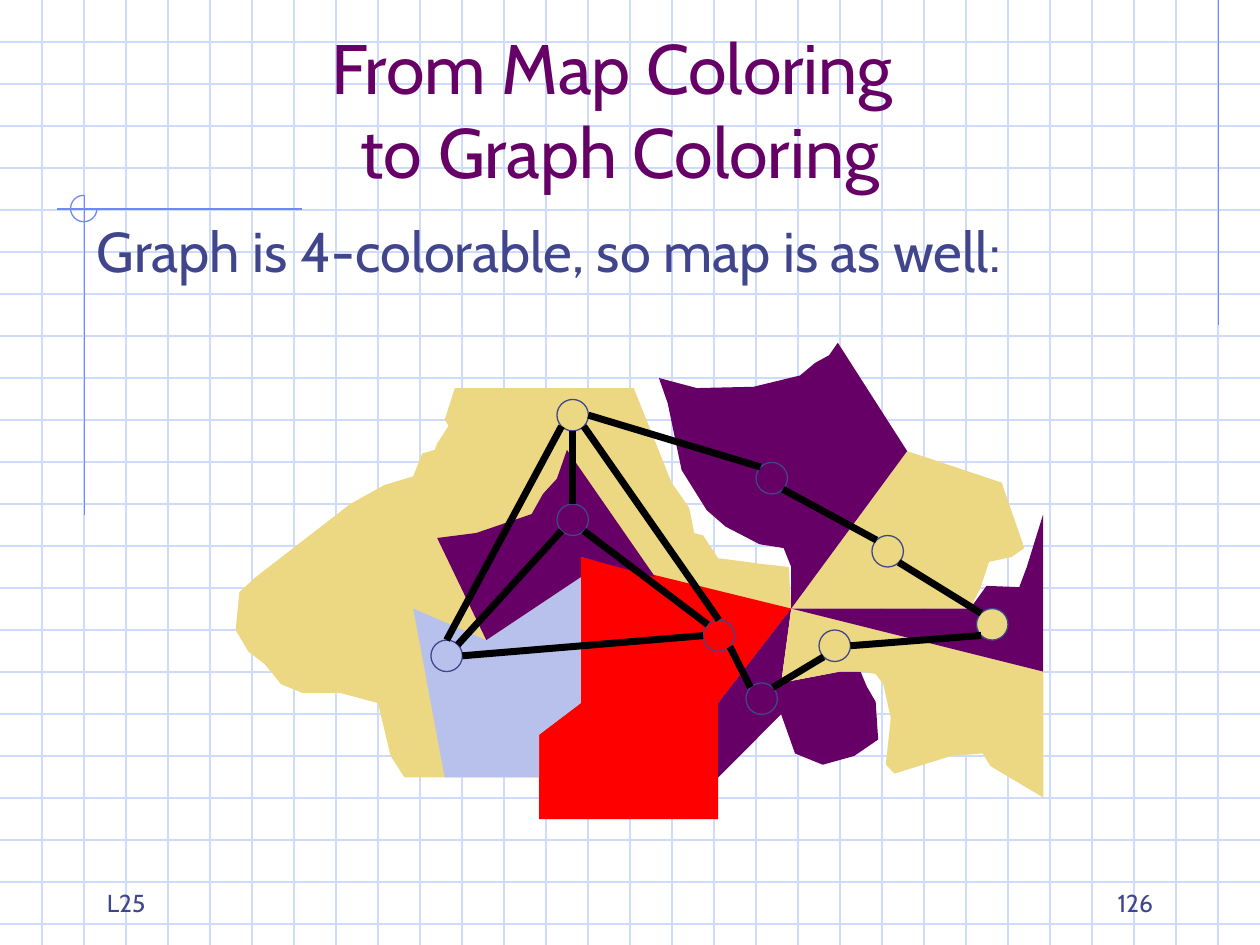
import pptx
import pptx.util
from pptx.dml.color import RGBColor
from pptx.enum.shapes import MSO_CONNECTOR, MSO_SHAPE
from pptx.enum.text import MSO_ANCHOR, MSO_AUTO_SIZE, PP_ALIGN
from pptx.oxml import parse_xml
from pptx.oxml.ns import nsdecls

PX = 9144  # EMU in one px, 100 px to the inch
WIDTH, HEIGHT = 1000, 750
FONT = "Cabin"
GRID = RGBColor(0xCF, 0xDB, 0xFD)
RULE = RGBColor(0x6F, 0x89, 0xF7)
PURPLE = RGBColor(0x66, 0x00, 0x66)
INK = RGBColor(0x40, 0x45, 0x8C)
SAND = RGBColor(0xEC, 0xD8, 0x82)
RED = RGBColor(0xFF, 0x00, 0x00)
LILAC = RGBColor(0xB7, 0xC1, 0xEB)
BLACK = RGBColor(0x00, 0x00, 0x00)

TITLE = "From Map Coloring \vto Graph Coloring"
STATEMENT = "Graph is 4-colorable, so map is as well:"
LECTURE, PAGE = "L25", "126"

# Rules in the margins: x1, y1, x2, y2
MARGIN_RULES = [(967, 0, 967, 258), (240, 166, 45, 166), (67, 155, 67, 409)]

# Points where borders meet
HUB, FORK, PEAK = (628, 483), (570, 558), (720, 358)
SHORE, EAST_END = (770, 483), (828, 533)
RED_FOOT = [(570, 650), (428, 650)]
STEP = [(428, 583), (461, 558)]
CROWN_FOOT, CROWN_SIDE, CROWN_TIP = (386, 508), (461, 458), (461, 442)
BAY = [(683, 533), (667, 533), (620, 542), HUB]

# Countries from back to front: colour and outline
COUNTRIES = [
    (SAND, [
        (503, 308), (361, 308), (353, 333), (356, 338), (347, 352), (345, 357), (335, 360),
        (328, 378), (305, 385), (278, 400), (203, 458), (190, 470), (187, 500), (197, 517),
        (210, 527), (223, 543), (240, 550), (270, 550), (300, 558), (310, 600), (321, 617),
        (428, 617), *RED_FOOT[::-1], FORK, HUB, (626, 450), (608, 448), (570, 443),
        (558, 425), (551, 423), (547, 403), (533, 383)]),
    (RED, [*RED_FOOT, *STEP, CROWN_TIP, HUB, FORK]),
    (LILAC, [(353, 617), (328, 483), CROWN_FOOT, CROWN_SIDE, *STEP[::-1], (428, 617)]),
    (PURPLE, [CROWN_FOOT, (347, 427), (378, 423), (422, 408), (431, 392), (442, 380),
              (450, 357), (520, 458), CROWN_TIP, CROWN_SIDE]),
    (PURPLE, [(570, 617), (620, 567), (631, 598), (653, 607), (678, 600), (697, 587),
              (695, 557), (688, 545), *BAY, FORK]),
    (SAND, [EAST_END, (828, 633), (786, 608), (780, 598), (755, 600), (723, 610),
            (710, 614), (703, 607), (707, 570), (701, 543), (695, 535), *BAY]),
    (SAND, [HUB, SHORE, (778, 467), (785, 446), (803, 442), (813, 435), (795, 383), PEAK]),
    (PURPLE, [SHORE, HUB, EAST_END, (828, 408), (815, 450), (809, 466), (783, 465)]),
    (PURPLE, [HUB, (628, 450), (622, 435), (603, 432), (576, 418), (561, 405), (541, 373),
              (530, 320), (523, 300), (553, 308), (598, 307), (635, 298), (647, 288),
              (658, 282), (665, 272), PEAK]),
]

# Graph vertices: left, top, fill (None lets the country show through)
NODE = 25
VERTICES = {
    "north": (442, 317, SAND), "inner": (442, 400, None), "west": (342, 508, None),
    "centre": (558, 492, None), "south": (592, 542, None), "southeast": (650, 500, SAND),
    "east": (775, 483, SAND), "northeast": (692, 425, SAND), "top": (600, 367, None),
}
# Edges: vertex and the side of its circle, at either end
EDGES = [
    ("west", "NE", "inner", "SW"), ("centre", "N", "north", "SE"), ("inner", "N", "north", "S"),
    ("west", "E", "centre", "W"), ("centre", "NW", "inner", "SE"), ("north", "E", "top", "NW"),
    ("west", "N", "north", "SW"), ("south", "NW", "centre", "SE"),
    ("south", "NE", "southeast", "SW"), ("east", "SW", "southeast", "E"),
    ("east", "NW", "northeast", "SE"), ("top", "SE", "northeast", "NW"),
]


def emu(*lengths):
    return [round(length * PX) for length in lengths]


def write(box, text, size, color=INK, align=PP_ALIGN.LEFT, anchor=MSO_ANCHOR.BOTTOM):
    frame = box.text_frame
    frame.word_wrap = True
    frame.auto_size = MSO_AUTO_SIZE.NONE
    frame.vertical_anchor = anchor
    frame.text = text
    frame.paragraphs[0].alignment = align
    for run in frame.paragraphs[0].runs:
        run.font.name, run.font.size = FONT, pptx.util.Pt(size)
        run.font.color.rgb = color


def rule(shapes, ends, color, weight=0.75):
    line = shapes.add_connector(MSO_CONNECTOR.STRAIGHT, *emu(*ends))
    line.line.color.rgb, line.line.width = color, pptx.util.Pt(weight)
    line.element.spPr.append(parse_xml(f"<a:effectLst {nsdecls('a')}/>"))


def circle(shapes, kind, left, top, size, fill, outline):
    ring = shapes.add_shape(kind, *emu(left, top, size, size))
    ring.shadow.inherit = False
    if fill is None:
        ring.fill.background()
    else:
        ring.fill.solid()
        ring.fill.fore_color.rgb = fill
    ring.line.color.rgb, ring.line.width = outline, pptx.util.Pt(0.75)
    return ring


def country(shapes, color, outline):
    builder = shapes.build_freeform(*outline[0], scale=PX)
    builder.add_line_segments(outline[1:], close=True)
    land = builder.convert_to_shape()
    land.shadow.inherit = False
    land.fill.solid()
    land.fill.fore_color.rgb = color
    land.line.fill.background()


def side_point(vertex, side):
    left, top, _ = VERTICES[vertex]
    reach = NODE / 2 * (0.5 ** 0.5 if len(side) == 2 else 1)
    return (left + NODE / 2 + reach * (("E" in side) - ("W" in side)),
            top + NODE / 2 + reach * (("S" in side) - ("N" in side)))


def main():
    deck = pptx.Presentation()
    deck.slide_width, deck.slide_height = emu(WIDTH, HEIGHT)
    slide = deck.slides.add_slide(deck.slide_layouts[5])
    shapes = slide.shapes

    # Squared paper and margin rules
    for n in range(1, 23):
        rule(shapes, (0, n * 100 / 3, WIDTH, n * 100 / 3), GRID)
    for n in range(1, 30):
        rule(shapes, (n * 100 / 3, 0, n * 100 / 3, HEIGHT), GRID)
    for ends in MARGIN_RULES:
        rule(shapes, ends, RULE)
    arc = circle(shapes, MSO_SHAPE.ARC, 56, 155, 21, None, RULE)
    arc.adjustments[0], arc.adjustments[1] = 0, 162  # three quarters of a turn

    # Title, brought in front of the paper
    title = shapes.title
    title.left, title.top, title.width, title.height = emu(67, 33, 850, 125)
    write(title, TITLE, 40, color=PURPLE, align=PP_ALIGN.CENTER)
    title.element.getparent().append(title.element)

    # Map, statement, graph
    for color, outline in COUNTRIES:
        country(shapes, color, outline)
    write(shapes.add_textbox(*emu(67, 167, 850, 450)), STATEMENT, 32, anchor=MSO_ANCHOR.TOP)
    for left, top, fill in VERTICES.values():
        circle(shapes, MSO_SHAPE.OVAL, left, top, NODE, fill, INK)
    for start, start_side, end, end_side in EDGES:
        rule(shapes, side_point(start, start_side) + side_point(end, end_side), BLACK, 4)

    # Footer
    write(shapes.add_textbox(*emu(717, 683, 208, 50)), PAGE, 14, align=PP_ALIGN.RIGHT)
    write(shapes.add_textbox(*emu(75, 683, 208, 50)), LECTURE, 14)
    deck.save("out.pptx")


if __name__ == "__main__":
    main()
